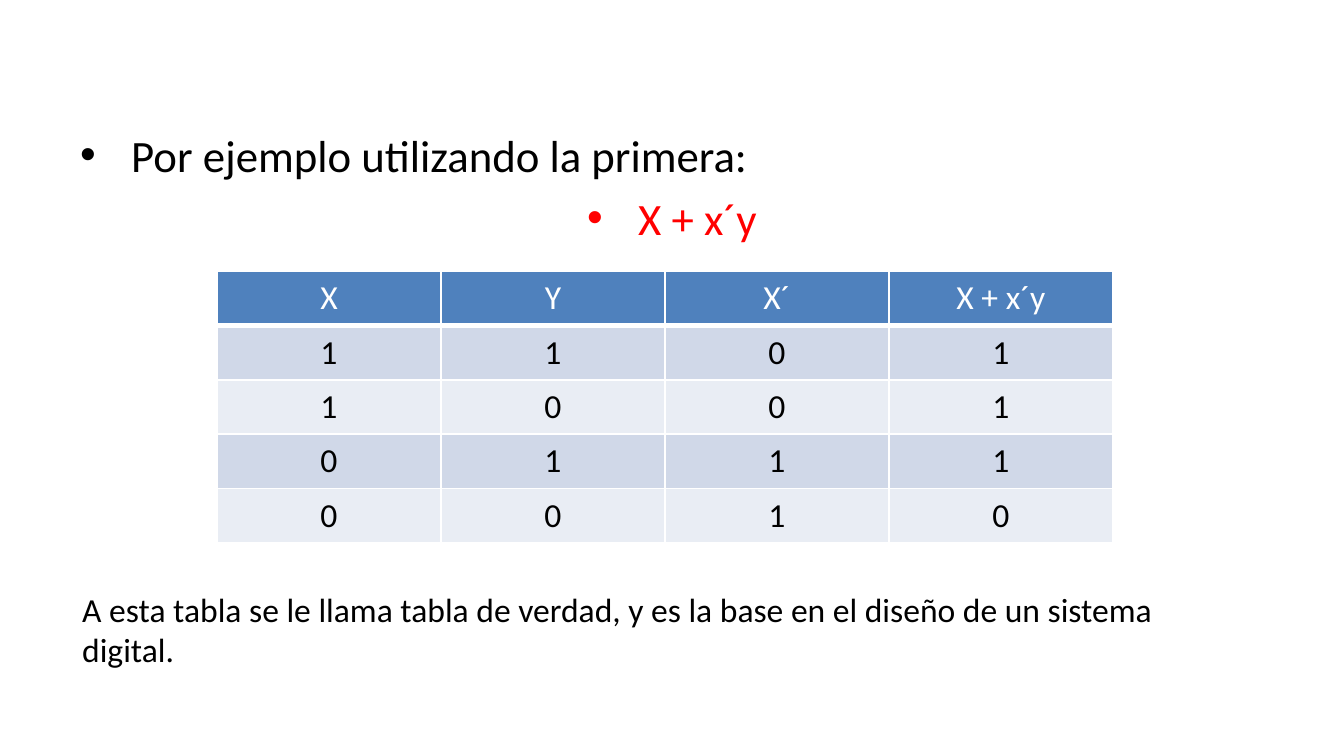
"""Build a slide that shows the truth table of a Boolean expression."""
import dataclasses

import lxml.etree
import pptx
import pptx.dml.color
import pptx.enum.text
import pptx.oxml.ns
import pptx.util

ALIGN = pptx.enum.text.PP_ALIGN


@dataclasses.dataclass(frozen=True)
class Theme:
    font: str = "Calibri"
    bullet_size: int = 24
    body_size: int = 18
    black: str = "000000"
    white: str = "FFFFFF"
    red: str = "FF0000"
    header: str = "4F81BD"
    bands: tuple = ("D0D8E8", "E9EDF4")
    border: int = 1
    header_border: int = 3


THEME = Theme()
SLIDE_SIZE = (1344, 756)
BULLETS = [
    ("Por ejemplo utilizando la primera:", THEME.black, ALIGN.LEFT),
    ("X + x´y", THEME.red, ALIGN.CENTER),
]
BULLETS_BOX = (67, 121, 1210, 159)
BULLET_INDENT = 51
TRUTH_TABLE = [
    ("X", "Y", "X´", "X + x´y"),
    ("1", "1", "0", "1"),
    ("1", "0", "0", "1"),
    ("0", "1", "1", "1"),
    ("0", "0", "1", "0"),
]
TABLE_BOX = (217, 271, 896, 272)
NOTE = "A esta tabla se le llama tabla de verdad, y es la base en el diseño de un sistema digital."
NOTE_BOX = (69, 582, 1153, 95)


def px(length):
    return pptx.util.Emu(round(length * 914400 / 134.4))


def rgb(color):
    return pptx.dml.color.RGBColor.from_string(color)


def add_run(paragraph, text, size, color):
    run = paragraph.add_run()
    run.text = text
    run.font.name = THEME.font
    run.font.size = pptx.util.Pt(size)
    run.font.bold = False
    run.font.color.rgb = rgb(color)


def add_text_box(slide, box):
    frame = slide.shapes.add_textbox(*map(px, box)).text_frame
    frame.word_wrap = True
    return frame


def add_bullets(slide):
    frame = add_text_box(slide, BULLETS_BOX)
    for index, (text, color, alignment) in enumerate(BULLETS):
        paragraph = frame.add_paragraph() if index else frame.paragraphs[0]
        paragraph.alignment = alignment
        paragraph.space_before = pptx.util.Pt(THEME.bullet_size * 0.2)
        properties = paragraph._p.get_or_add_pPr()
        properties.set("marL", str(px(BULLET_INDENT)))
        properties.set("indent", str(-px(BULLET_INDENT)))
        for tag, name, value in (("a:buFont", "typeface", "Arial"), ("a:buChar", "char", "•")):
            lxml.etree.SubElement(properties, pptx.oxml.ns.qn(tag)).set(name, value)
        add_run(paragraph, text, THEME.bullet_size, color)


def add_borders(cell, bottom_width):
    properties = cell._tc.get_or_add_tcPr()
    for side in "LRTB":
        width = bottom_width if side == "B" else THEME.border
        line = lxml.etree.SubElement(properties, pptx.oxml.ns.qn(f"a:ln{side}"))
        line.set("w", str(pptx.util.Pt(width)))
        fill = lxml.etree.SubElement(line, pptx.oxml.ns.qn("a:solidFill"))
        lxml.etree.SubElement(fill, pptx.oxml.ns.qn("a:srgbClr")).set("val", THEME.white)


def add_truth_table(slide):
    row_count, column_count = len(TRUTH_TABLE), len(TRUTH_TABLE[0])
    table = slide.shapes.add_table(row_count, column_count, *map(px, TABLE_BOX)).table
    for row_index, values in enumerate(TRUTH_TABLE):
        is_header = row_index == 0
        fill = THEME.header if is_header else THEME.bands[(row_index - 1) % 2]
        for column_index, value in enumerate(values):
            cell = table.cell(row_index, column_index)
            add_borders(cell, THEME.header_border if is_header else THEME.border)
            cell.fill.solid()
            cell.fill.fore_color.rgb = rgb(fill)
            paragraph = cell.text_frame.paragraphs[0]
            paragraph.alignment = ALIGN.CENTER
            add_run(paragraph, value, THEME.body_size, THEME.white if is_header else THEME.black)


def add_note(slide):
    frame = add_text_box(slide, NOTE_BOX)
    frame.auto_size = pptx.enum.text.MSO_AUTO_SIZE.SHAPE_TO_FIT_TEXT
    add_run(frame.paragraphs[0], NOTE, THEME.body_size, THEME.black)


def main():
    presentation = pptx.Presentation()
    presentation.slide_width, presentation.slide_height = map(px, SLIDE_SIZE)
    slide = presentation.slides.add_slide(presentation.slide_layouts.get_by_name("Blank"))
    add_bullets(slide)
    add_truth_table(slide)
    add_note(slide)
    presentation.save("out.pptx")


if __name__ == "__main__":
    main()
